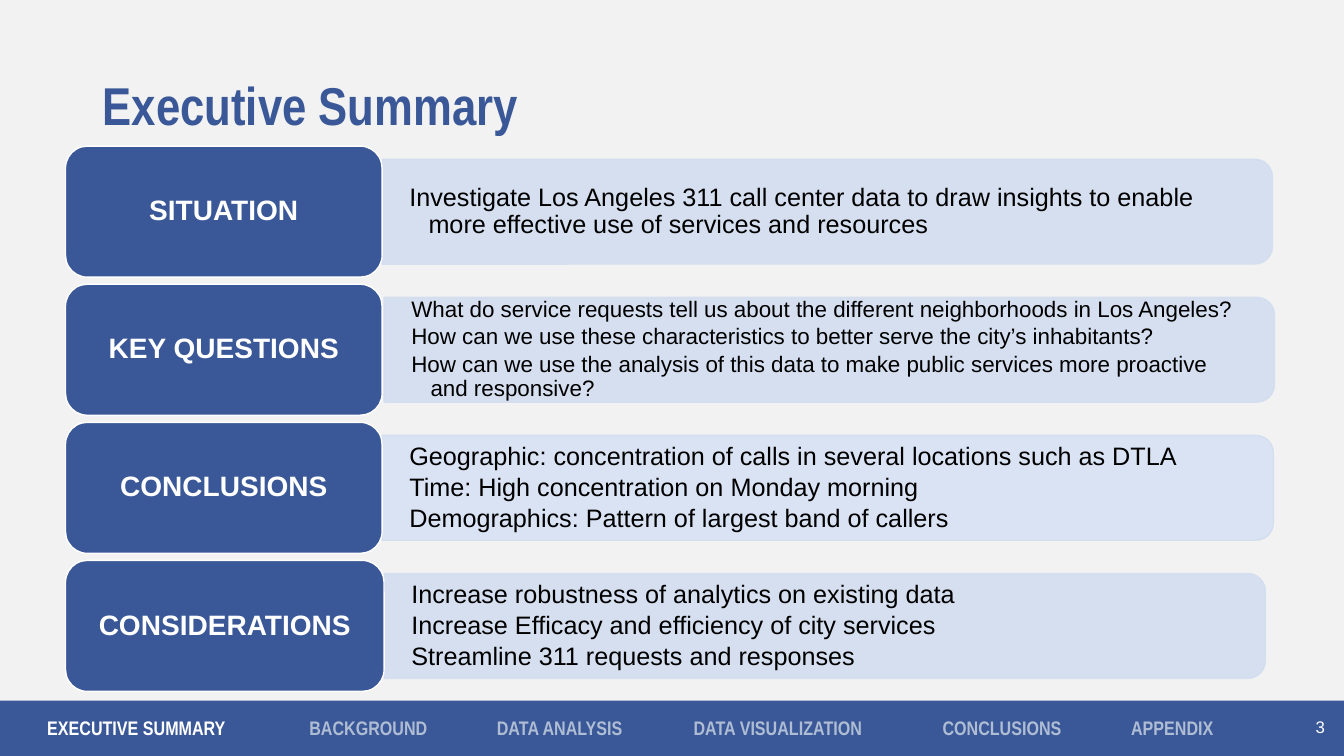
from itertools import accumulate

from lxml import etree
from pptx import Presentation, util as u
from pptx.dml import color
from pptx.enum import shapes, text
from pptx.oxml import ns

# Content
TITLE = "Executive Summary"
PAGE = "3"
# label, label width, panel left, panel width, fill, opacity, text size, lines
SECTIONS = [
    ("SITUATION", 3.14, 3.79, 8.83, "panel", 90, 18, [
        "Investigate Los Angeles 311 call center data to draw insights to enable "
        "more effective use of services and resources"]),
    ("KEY QUESTIONS", 3.14, 3.81, 8.83, "panel", 90, 16, [
        "What do service requests tell us about the different neighborhoods in Los Angeles?",
        "How can we use these characteristics to better serve the city’s inhabitants?",
        "How can we use the analysis of this data to make public services more "
        "proactive and responsive?"]),
    ("CONCLUSIONS", 3.14, 3.79, 8.84, "panel_alt", 100, 18, [
        "Geographic: concentration of calls in several locations such as DTLA",
        "Time: High concentration on Monday morning",
        "Demographics: Pattern of largest band of callers"]),
    ("CONSIDERATIONS", 3.16, 3.81, 8.74, "panel", 90, 18, [
        "Increase robustness of analytics on existing data",
        "Increase Efficacy and efficiency of city services",
        "Streamline 311 requests and responses"]),
]
# navigation entry, width
NAVIGATION = [("EXECUTIVE SUMMARY", 2.38), ("BACKGROUND", 1.64), ("DATA ANALYSIS", 1.73),
              ("DATA VISUALIZATION", 2.25), ("CONCLUSIONS", 1.65), ("APPENDIX", 1.21)]
COLORS = {"page": "F2F2F2", "brand": "3A5898", "white": "FFFFFF", "black": "000000",
          "panel": "D2DEEF", "panel_alt": "DAE3F3", "muted": "AFBDD4"}

# Grid, in inches
WIDTH, HEIGHT = 13.33, 7.5
BAR_H = 0.55
ROW_TOP, ROW_PITCH = 1.45, 1.37
LABEL_LEFT, LABEL_H = 0.65, 1.3
PANEL_H, PANEL_TEXT_H = 1.04, 0.94
NAV_LEFT, NAV_TOP, NAV_H, NAV_GAP = 0.37, 7.05, 0.34, 0.22


def rgb(name):
    return color.RGBColor.from_string(COLORS[name])


def inches(*lengths):
    return [u.Inches(length) for length in lengths]


def write(shape, lines, size, ink, font="Arial", bold=False, align="LEFT", anchor="MIDDLE",
          insets=(0.1, 0.05), spacing=None, after=0, hanging=0):
    frame = shape.text_frame
    frame.word_wrap = True
    frame.auto_size = text.MSO_AUTO_SIZE.NONE
    frame.vertical_anchor = getattr(text.MSO_ANCHOR, anchor)
    frame.margin_left = frame.margin_right = u.Inches(insets[0])
    frame.margin_top = frame.margin_bottom = u.Inches(insets[1])
    frame.text = "\n".join(lines)
    for paragraph in frame.paragraphs:
        if hanging:
            properties = paragraph._p.get_or_add_pPr()
            properties.set("marL", str(u.Inches(hanging)))
            properties.set("indent", str(-u.Inches(hanging)))
        paragraph.alignment = getattr(text.PP_ALIGN, align)
        paragraph.line_spacing = spacing
        paragraph.space_after = u.Pt(after)
        paragraph.font.name = font
        paragraph.font.size = u.Pt(size)
        paragraph.font.bold = bold
        paragraph.font.color.rgb = rgb(ink)


def set_opacity(color_parent, percent):
    if percent < 100:
        for tint in color_parent.iter(ns.qn("a:srgbClr")):
            etree.SubElement(tint, ns.qn("a:alpha")).set("val", str(percent * 1000))


def add_block(preset, box, fill, line=None, fill_opacity=100, line_opacity=100):
    block = slide.shapes.add_shape(getattr(shapes.MSO_SHAPE, preset), *inches(*box))
    block.shadow.inherit = False
    block.fill.solid()
    block.fill.fore_color.rgb = rgb(fill)
    set_opacity(block._element.spPr.find(ns.qn("a:solidFill")), fill_opacity)
    if line:
        block.line.color.rgb = rgb(line)
        block.line.width = u.Pt(1)
        set_opacity(block._element.spPr.find(ns.qn("a:ln")), line_opacity)
    else:
        block.line.fill.background()
    return block


def add_text(box, lines, **fmt):
    write(slide.shapes.add_textbox(*inches(*box)), lines, **fmt)


deck = Presentation()
deck.slide_width, deck.slide_height = inches(WIDTH, HEIGHT)
slide = deck.slides.add_slide(deck.slide_layouts[5])
slide.background.fill.solid()
slide.background.fill.fore_color.rgb = rgb("page")

# Title
title = slide.shapes.title
title.left, title.top, title.width, title.height = inches(0.92, 0.35, 11.5, 1.45)
write(title, [TITLE], size=38, ink="brand", font="Arial Narrow", bold=True, spacing=0.9)

# Sections: a panel rounded on the right, its lines, and the label
for row, (label, label_w, left, width, fill, opacity, size, lines) in enumerate(SECTIONS):
    top = ROW_TOP + row * ROW_PITCH
    middle = top + LABEL_H / 2
    # The panel is a quarter turn, so its box is drawn upright around the same centre
    upright = (left + (width - PANEL_H) / 2, middle - width / 2, PANEL_H, width)
    panel = add_block("ROUND_2_SAME_RECTANGLE", upright, fill, line="panel",
                      fill_opacity=opacity, line_opacity=90)
    panel.rotation = 90
    add_text((left, middle - PANEL_TEXT_H / 2, width - 0.05, PANEL_TEXT_H), lines,
             size=size, ink="black", insets=(0.27, 0.14), spacing=0.9,
             after=0.15 * size, hanging=0.19)
    tab = add_block("ROUNDED_RECTANGLE", (LABEL_LEFT, top, label_w, LABEL_H),
                    "brand", line="white")
    write(tab, [label], size=20, ink="white", bold=True, align="CENTER", spacing=0.9)

# Navigation bar; the first entry is the current section
add_block("RECTANGLE", (0, HEIGHT - BAR_H, WIDTH, BAR_H), "brand")
nav_lefts = accumulate((width + NAV_GAP for _, width in NAVIGATION), initial=NAV_LEFT)
for (entry, width), left in zip(NAVIGATION, nav_lefts):
    add_text((left, NAV_TOP, width, NAV_H), [entry], size=14, font="Arial Narrow", bold=True,
             ink="white" if left == NAV_LEFT else "muted", anchor="TOP")
add_text((10.24, 7.01, 3, 0.4), [PAGE], size=12, ink="white", align="RIGHT")

deck.save("out.pptx")
